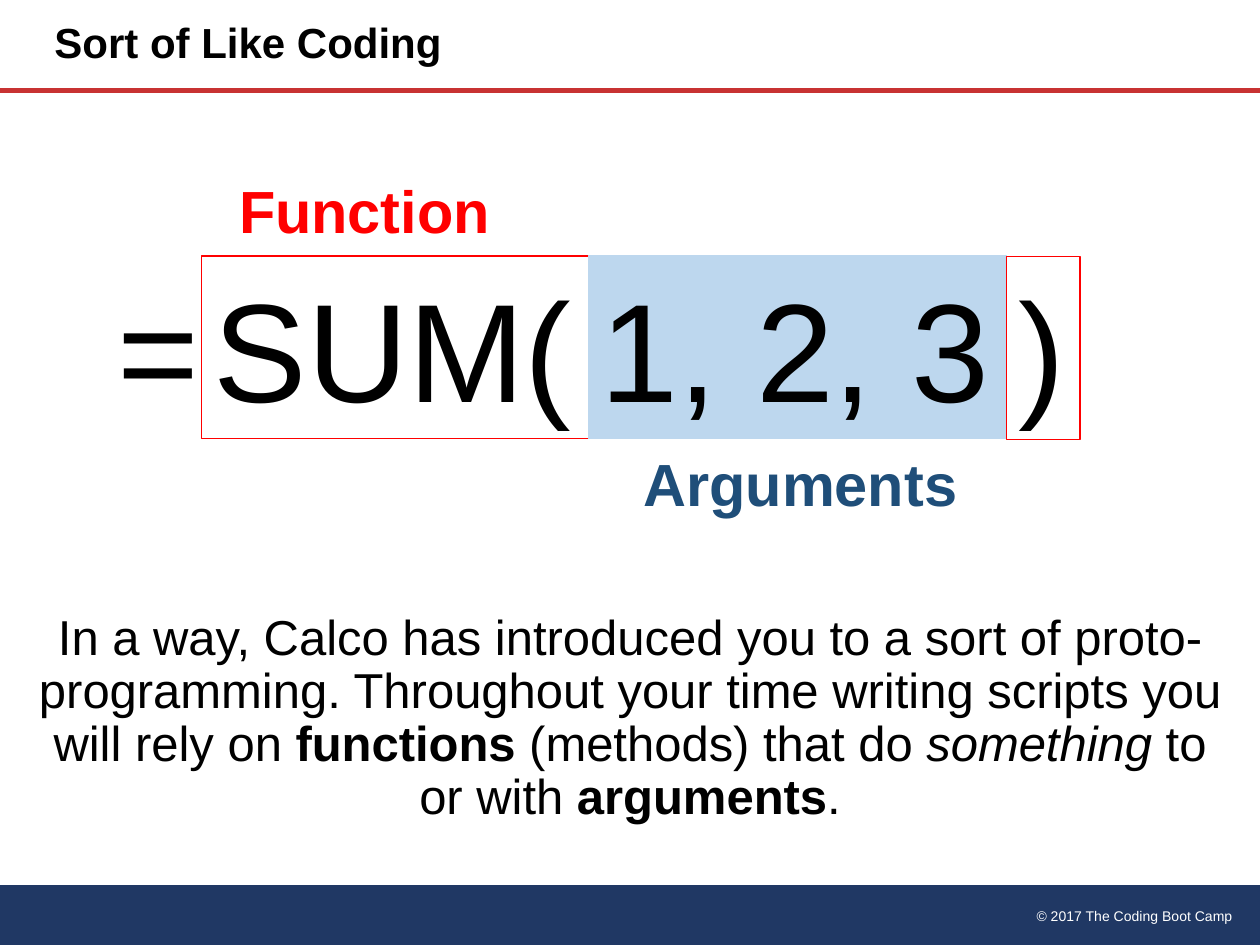
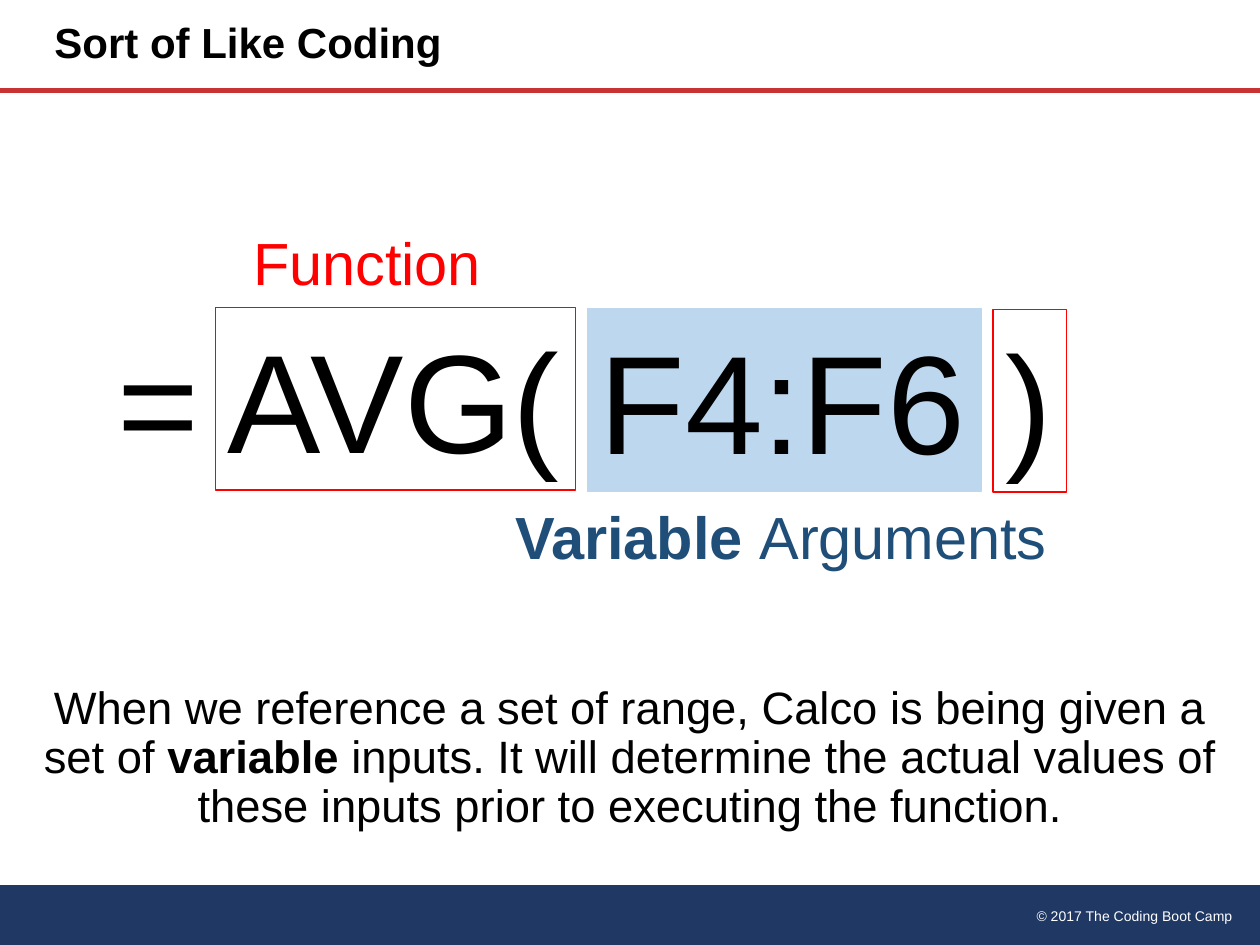
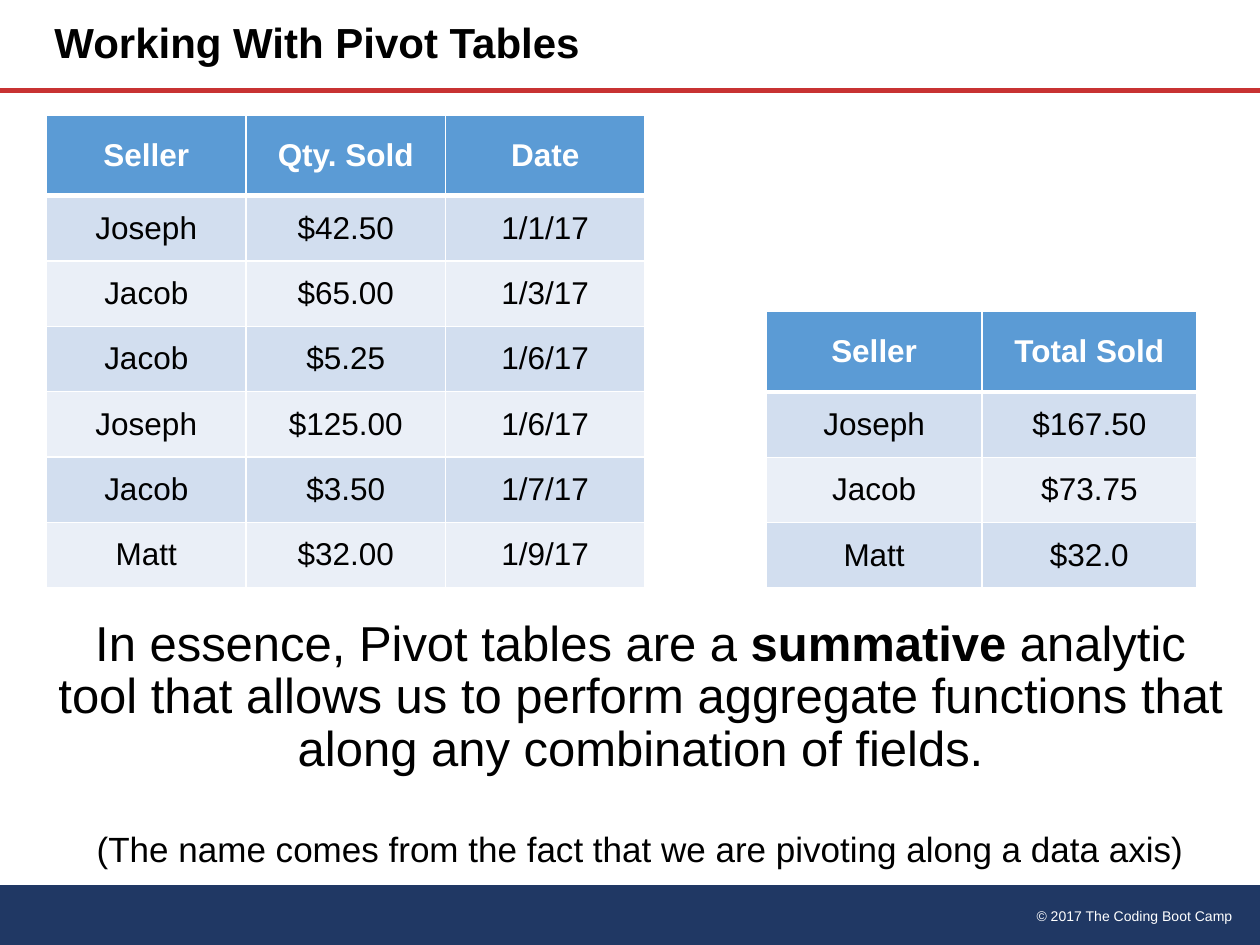
from lxml.etree import SubElement
from pptx import Presentation
from pptx.dml.color import RGBColor
from pptx.enum.shapes import MSO_CONNECTOR as Connector, MSO_SHAPE as Shape
from pptx.enum.text import MSO_ANCHOR as Anchor, MSO_AUTO_SIZE as AutoSize, PP_ALIGN as Align
from pptx.oxml.ns import qn
from pptx.util import Pt

BLACK = RGBColor(0x00, 0x00, 0x00)
WHITE = RGBColor(0xFF, 0xFF, 0xFF)
NAVY = RGBColor(0x20, 0x38, 0x64)
RULE_RED = RGBColor(0xC8, 0x32, 0x32)
RED = RGBColor(0xFF, 0x00, 0x00)
DARK_BLUE = RGBColor(0x1F, 0x4E, 0x79)
PALE_BLUE = RGBColor(0xBD, 0xD7, 0xEE)
HEADER_BLUE = RGBColor(0x5B, 0x9B, 0xD5)
BANDS = (RGBColor(0xEA, 0xEF, 0xF7), RGBColor(0xD2, 0xDE, 0xEF))

FONT = "Arial"
WIDTH, HEIGHT = 720, 540
FORMULA_HEIGHT = 104.4
LABEL_HEIGHT = 48


class Deck:
    def __init__(self):
        self.deck = Presentation()
        self.deck.slide_width, self.deck.slide_height = Pt(WIDTH), Pt(HEIGHT)
        self.page = None

    def add_page(self, title):
        self.page = self.deck.slides.add_slide(self.deck.slide_layouts[6])
        footer = self.page.shapes.add_shape(
            Shape.FLOWCHART_PROCESS, Pt(0), Pt(505.5), Pt(WIDTH), Pt(36))
        footer.shadow.inherit = False
        footer.fill.solid()
        footer.fill.fore_color.rgb = NAVY
        footer.line.fill.background()
        self.add_text(492, 515, 219.5, 17, ["© 2017 The Coding Boot Camp"], 8, WHITE, align=Align.RIGHT)
        rule = self.page.shapes.add_connector(
            Connector.STRAIGHT, Pt(0), Pt(51.75), Pt(WIDTH), Pt(51.75))
        rule.line.color.rgb = RULE_RED
        rule.line.width = Pt(3.25)
        SubElement(rule.element.spPr, qn("a:effectLst"))
        self.add_text(24, 0, 430, 51.75, [(title, "b")], 24, anchor=Anchor.MIDDLE, spacing=0.9)

    def fill_para(self, para, spans, size, color=BLACK, align=Align.LEFT, spacing=None):
        para.alignment = align
        para.line_spacing = spacing
        para.font.name, para.font.size = FONT, Pt(size)
        para.font.color.rgb = color
        for item in spans:
            text, style = (item, "") if isinstance(item, str) else item
            span = para.add_run()
            span.text = text
            if style == "b":
                span.font.bold = True
            elif style == "i":
                span.font.italic = True

    def add_text(self, left, top, width, height, spans, size, color=BLACK,
                 align=Align.LEFT, anchor=Anchor.TOP, spacing=None, wrap=True):
        box = self.page.shapes.add_textbox(Pt(left), Pt(top), Pt(width), Pt(height))
        box.text_frame.word_wrap = wrap
        box.text_frame.vertical_anchor = anchor
        self.fill_para(box.text_frame.paragraphs[0], spans, size, color, align, spacing)
        return box

    def add_body(self, left, top, width, height, spans, size=28, anchor=Anchor.MIDDLE):
        return self.add_text(left, top, width, height, spans, size,
                             align=Align.CENTER, anchor=anchor, spacing=0.9)

    def add_label(self, left, top, width, spans, color):
        self.add_text(left, top, width, LABEL_HEIGHT, spans, 34, color, wrap=False)

    def add_formula_box(self, left, top, width, text, line=RED, fill=None):
        box = self.page.shapes.add_shape(
            Shape.RECTANGLE, Pt(left), Pt(top), Pt(width), Pt(FORMULA_HEIGHT))
        box.shadow.inherit = False
        if fill is None:
            box.fill.background()
        else:
            box.fill.solid()
            box.fill.fore_color.rgb = fill
        box.line.color.rgb = line
        box.line.width = Pt(0.75)
        frame = box.text_frame
        frame.word_wrap = False
        frame.auto_size = AutoSize.SHAPE_TO_FIT_TEXT
        frame.vertical_anchor = Anchor.TOP
        self.fill_para(frame.paragraphs[0], [text], 80)

    def add_formula(self, top, function, arguments, closing, function_label, argument_label):
        self.add_formula_box(*function)
        self.add_label(function_label[0], top - 50.4, *function_label[1:], RED)
        self.add_label(argument_label[0], top + 105.8, *argument_label[1:], DARK_BLUE)
        self.add_formula_box(*arguments, PALE_BLUE, PALE_BLUE)
        self.add_formula_box(*closing)
        self.add_text(59.8, top, 62, FORMULA_HEIGHT, ["="], 80, wrap=False)

    def add_table(self, left, top, column_width, rows):
        heights = [46] + [37.35] * (len(rows) - 1)
        columns = len(rows[0])
        table = self.page.shapes.add_table(
            len(rows), columns, Pt(left), Pt(top),
            Pt(column_width * columns), Pt(sum(heights))).table
        for column in table.columns:
            column.width = Pt(column_width)
        for index, (row, height, values) in enumerate(zip(table.rows, heights, rows)):
            row.height = Pt(height)
            header = index == 0
            for cell, value in zip(row.cells, values):
                cell.vertical_anchor = Anchor.MIDDLE
                self.add_borders(cell, top=3 if index == 1 else 1, bottom=3 if header else 1)
                cell.fill.solid()
                cell.fill.fore_color.rgb = HEADER_BLUE if header else BANDS[index % 2]
                para = cell.text_frame.paragraphs[0]
                self.fill_para(para, [value], 18, WHITE if header else BLACK, Align.CENTER)
                para.font.bold = header

    def add_borders(self, cell, top, bottom):
        properties = cell._tc.get_or_add_tcPr()
        for side, width in (("L", 1), ("R", 1), ("T", top), ("B", bottom)):
            border = SubElement(properties, qn(f"a:ln{side}"), w=str(Pt(width)))
            fill = SubElement(border, qn("a:solidFill"))
            SubElement(fill, qn("a:srgbClr"), val=str(WHITE))


def add_sum_page(deck):
    deck.add_page("Sort of Like Coding")
    top = 146.2
    deck.add_formula(
        top,
        function=(115.2, top, 221, "SUM("),
        arguments=(336.2, top, 239, "1, 2, 3"),
        closing=(575.2, top + 0.5, 42, ")"),
        function_label=(129.6, 159, [("Function", "b")]),
        argument_label=(360.7, 196, [("Arguments", "b")]))
    deck.add_body(12, 336, 696, 150, [
        "In a way, Calco has introduced you to a sort of proto-programming. "
        "Throughout your time writing scripts you will rely on ",
        ("functions", "b"), " (methods) that do ", ("something ", "i"),
        "to or with ", ("arguments", "b"), "."])


def add_average_page(deck):
    deck.add_page("Sort of Like Coding")
    top = 176.2
    deck.add_formula(
        top,
        function=(123, top - 0.5, 206, "AVG("),
        arguments=(335.6, top, 225.4, "F4:F6"),
        closing=(567.4, top + 0.5, 42, ")"),
        function_label=(137.5, 146, ["Function"]),
        argument_label=(287.2, 322, [("Variable ", "b"), "Arguments"]))
    deck.add_body(12, 384, 696, 99, [
        "When we reference a set of range, Calco is being given a set of ",
        ("variable ", "b"),
        "inputs. It will determine the actual values of these inputs "
        "prior to executing the function."], 25.9)


def add_pivot_page(deck):
    deck.add_page("Working With Pivot Tables")
    box = deck.add_body(24, 350, 684, 156, [
        "In essence, Pivot tables are a ", ("summative ", "b"),
        "analytic tool that allows us to perform aggregate functions that "
        "along any combination of fields."], anchor=Anchor.TOP)
    para = box.text_frame.add_paragraph()
    deck.fill_para(para, ["(The name comes from the fact that we are pivoting along a data axis)"],
                   20, align=Align.CENTER, spacing=0.9)
    para.space_before = Pt(31)
    deck.add_table(26.6, 65.8, 114, [
        ("Seller", "Qty. Sold", "Date"),
        ("Joseph", "$42.50", "1/1/17"),
        ("Jacob", "$65.00", "1/3/17"),
        ("Jacob", "$5.25", "1/6/17"),
        ("Joseph", "$125.00", "1/6/17"),
        ("Jacob", "$3.50", "1/7/17"),
        ("Matt", "$32.00", "1/9/17")])
    deck.add_table(438, 178, 123, [
        ("Seller", "Total Sold"),
        ("Joseph", "$167.50"),
        ("Jacob", "$73.75"),
        ("Matt", "$32.0")])


def main():
    deck = Deck()
    add_sum_page(deck)
    add_average_page(deck)
    add_pivot_page(deck)
    deck.deck.save("out.pptx")


if __name__ == "__main__":
    main()
